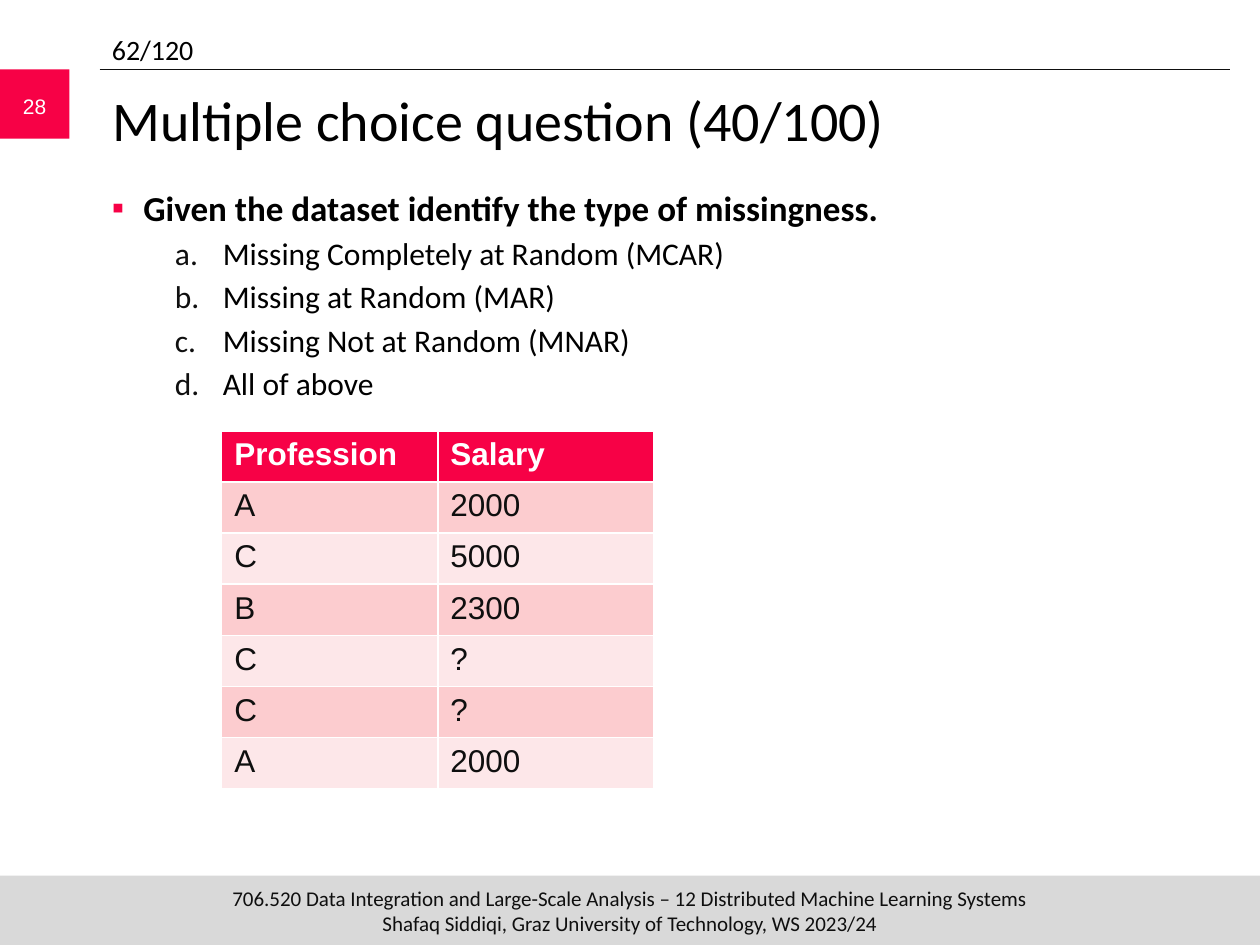
"""Build the multiple choice question slide."""
from dataclasses import dataclass

from lxml import etree
from pptx import Presentation
from pptx.dml.color import RGBColor
from pptx.enum.shapes import MSO_CONNECTOR, MSO_SHAPE
from pptx.enum.text import MSO_ANCHOR, MSO_AUTO_SIZE, PP_ALIGN
from pptx.oxml.ns import qn
from pptx.util import Inches, Pt

RECT, LINE = MSO_SHAPE.RECTANGLE, MSO_CONNECTOR.STRAIGHT
TOP, MIDDLE = MSO_ANCHOR.TOP, MSO_ANCHOR.MIDDLE
LEFT, CENTER = PP_ALIGN.LEFT, PP_ALIGN.CENTER
FIXED = MSO_AUTO_SIZE.NONE
RED, INK, BLACK, WHITE, GRAY = "F70146", "0F0F0F", "000000", "FFFFFF", "D9D9D9"
BANDS = ("FCCCCF", "FDE7E9")

CHOICES = (
    "Missing Completely at Random (MCAR)",
    "Missing at Random (MAR)",
    "Missing Not at Random (MNAR)",
    "All of above",
)
ROWS = (
    ("Profession", "Salary"),
    ("A", "2000"),
    ("C", "5000"),
    ("B", "2300"),
    ("C", "?"),
    ("C", "?"),
    ("A", "2000"),
)
FOOTER = (
    "706.520 Data Integration and Large-Scale Analysis – 12 Distributed Machine Learning Systems",
    "Shafaq Siddiqi, Graz University of Technology, WS 2023/24",
)


@dataclass(frozen=True)
class Style:
    """Look of a run of text."""
    size: float
    color: str = BLACK
    bold: bool = False
    font: str = "Calibri"


@dataclass(frozen=True)
class Box:
    """Place of a shape in inches."""
    left: float
    top: float
    width: float
    height: float

    def lengths(self) -> tuple:
        """Return the four lengths for an add call."""
        return tuple(map(Inches, (self.left, self.top, self.width, self.height)))


def rgb(color: str) -> RGBColor:
    """Turn a hex string into a colour."""
    return RGBColor.from_string(color)


def write(para, text: str, style: Style) -> None:
    """Add one styled run to a paragraph."""
    run = para.add_run()
    run.text = text
    font = run.font
    font.name, font.size, font.bold = style.font, Pt(style.size), style.bold
    font.color.rgb = rgb(style.color)


def block(slide, box: Box, color: str) -> None:
    """Draw a plain filled rectangle."""
    shape = slide.shapes.add_shape(RECT, *box.lengths())
    shape.shadow.inherit = False
    shape.fill.solid()
    shape.fill.fore_color.rgb = rgb(color)
    shape.line.fill.background()


def frame(slide, box: Box, anchor=TOP):
    """Add a wrapping text box and return its frame."""
    text = slide.shapes.add_textbox(*box.lengths()).text_frame
    text.word_wrap, text.vertical_anchor = True, anchor
    return text


def mark(para, color: str, margin: float, hang: float, tag: str, **attrs: str) -> None:
    """Give a paragraph a hanging bullet or number."""
    props = para._p.get_or_add_pPr()
    props.set("marL", str(Inches(margin)))
    props.set("indent", str(-Inches(hang)))
    tint = etree.SubElement(props, qn("a:buClr"))
    etree.SubElement(tint, qn("a:srgbClr"), val=color)
    etree.SubElement(props, qn("a:buFont"), typeface="Arial")
    etree.SubElement(props, qn(tag), **attrs)


def draw_rule(slide) -> None:
    """Draw the thin line above the title."""
    y = Inches(0.55)
    rule = slide.shapes.add_connector(LINE, Inches(0.79), y, Inches(9.76), y)
    rule.line.color.rgb, rule.line.width = rgb(INK), Pt(0.5)
    etree.SubElement(rule._element.spPr, qn("a:effectLst"))


def draw_frame(slide) -> None:
    """Draw the footer, the rule and the page number."""
    base = Box(0, 6.95, 10, 0.55)
    block(slide, base, GRAY)
    draw_rule(slide)
    block(slide, Box(0, 0.55, 0.55, 0.55), RED)
    page = frame(slide, Box(0, 0.64, 0.55, 0.4), MIDDLE).paragraphs[0]
    page.alignment = CENTER
    write(page, "28", Style(12, WHITE, font="Arial"))
    foot = frame(slide, base, MIDDLE)
    foot.margin_left = foot.margin_right = foot.margin_top = foot.margin_bottom = 0
    para = foot.paragraphs[0]
    para.alignment = CENTER
    for i, text in enumerate(FOOTER):
        if i:
            para.add_line_break()
        write(para, text, Style(12, INK))


def draw_title(slide) -> None:
    """Place and fill the title."""
    title = slide.shapes.title
    box = Box(0.79, 0.63, 8.96, 0.83)
    title.left, title.top, title.width, title.height = box.lengths()
    text = title.text_frame
    text.vertical_anchor, text.auto_size = TOP, FIXED
    text.paragraphs[0].alignment = LEFT
    write(text.paragraphs[0], "Multiple choice question (40/100)", Style(32))


def draw_body(slide) -> None:
    """Write the question and its choices."""
    text = frame(slide, Box(0.79, 1.43, 8.96, 5.4))
    ask = text.paragraphs[0]
    mark(ask, RED, 0.25, 0.25, "a:buChar", char="▪")
    write(ask, "Given the dataset identify the type of missingness.", Style(20, bold=True))
    for choice in CHOICES:
        para = text.add_paragraph()
        para.level, para.space_before = 1, Pt(3.2)
        mark(para, INK, 0.88, 0.38, "a:buAutoNum", type="alphaLcPeriod")
        write(para, choice, Style(18))


def draw_table(slide) -> None:
    """Draw the salary table."""
    box = Box(1.76, 3.42, 3.43, 2.84)
    table = slide.shapes.add_table(len(ROWS), len(ROWS[0]), *box.lengths()).table
    for i, row in enumerate(ROWS):
        head = i == 0
        fill = RED if head else BANDS[(i - 1) % 2]
        style = Style(18, WHITE if head else INK, head, "Arial")
        for j, text in enumerate(row):
            cell = table.cell(i, j)
            cell.fill.solid()
            cell.fill.fore_color.rgb = rgb(fill)
            write(cell.text_frame.paragraphs[0], text, style)


def main() -> None:
    """Build and save the deck."""
    deck = Presentation()
    deck.slide_width, deck.slide_height = Inches(10), Inches(7.5)
    slide = deck.slides.add_slide(deck.slide_layouts[5])
    draw_frame(slide)
    draw_title(slide)
    draw_body(slide)
    count = frame(slide, Box(0.79, 0.21, 9, 0.36))
    write(count.paragraphs[0], "62/120", Style(16))
    draw_table(slide)
    deck.save("out.pptx")


if __name__ == "__main__":
    main()
